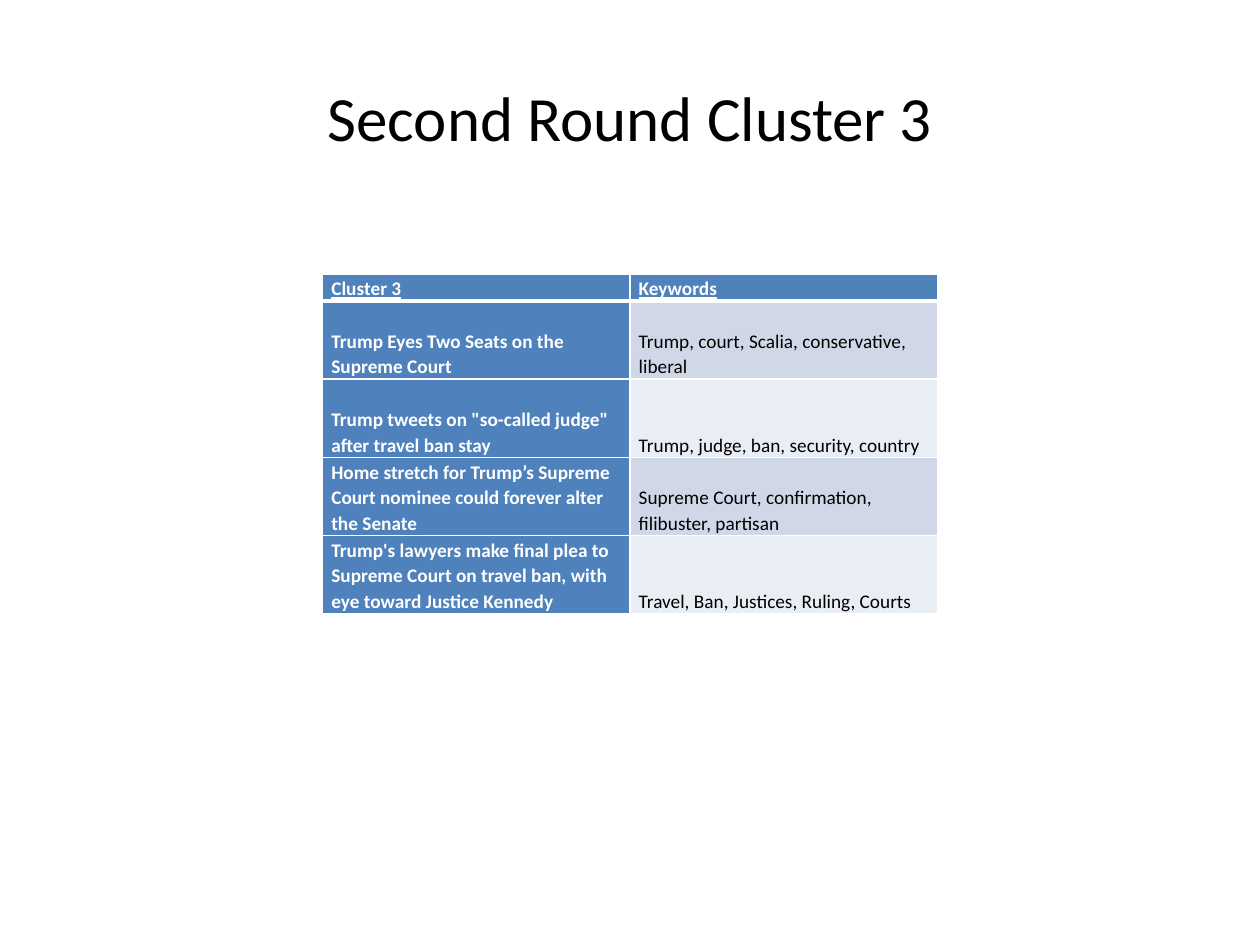
from lxml import etree
from pptx import Presentation
from pptx.dml.color import RGBColor
from pptx.enum.text import MSO_ANCHOR, PP_ALIGN
from pptx.oxml.ns import qn
from pptx.util import Inches, Pt

MIDDLE, BOTTOM = MSO_ANCHOR.MIDDLE, MSO_ANCHOR.BOTTOM
CENTER = PP_ALIGN.CENTER

BLACK = RGBColor(0x00, 0x00, 0x00)
WHITE = RGBColor(0xFF, 0xFF, 0xFF)
BLUE = RGBColor(0x4F, 0x81, 0xBD)
BAND_DARK = RGBColor(0xD0, 0xD8, 0xE8)
BAND_LIGHT = RGBColor(0xE9, 0xED, 0xF4)

FONT = "Calibri"
COLUMN_WIDTH = 2.44
HEADER_HEIGHT, ROW_HEIGHT = 0.21, 0.62

ROWS = [
    ("Cluster 3", "Keywords"),
    ("Trump Eyes Two Seats on the Supreme Court",
     "Trump, court, Scalia, conservative, liberal"),
    ('Trump tweets on "so-called judge" after travel ban stay',
     "Trump, judge, ban, security, country"),
    ("Home stretch for Trump’s Supreme Court nominee could forever alter the Senate",
     "Supreme Court, confirmation, filibuster, partisan"),
    ("Trump's lawyers make final plea to Supreme Court on travel ban, with eye toward Justice Kennedy",
     "Travel, Ban, Justices, Ruling, Courts"),
]


def add_run(p, text, size, color, bold=False, underline=False):
    r = p.add_run()
    r.text = text
    r.font.name = FONT
    r.font.size = Pt(size)
    r.font.color.rgb = color
    r.font.bold = bold
    r.font.underline = underline


def add_title(slide, text):
    box = slide.shapes.add_textbox(Inches(0.5), Inches(0.3), Inches(9), Inches(1.25))
    tf = box.text_frame
    tf.word_wrap = True
    tf.vertical_anchor = MIDDLE
    p = tf.paragraphs[0]
    p.alignment = CENTER
    add_run(p, text, 36, BLACK)


def set_borders(cell, bottom_width):
    """Draw white cell borders, 1 pt except for the bottom one."""
    tc_pr = cell._tc.get_or_add_tcPr()
    widths = {"a:lnL": 1, "a:lnR": 1, "a:lnT": 1, "a:lnB": bottom_width}
    for i, (tag, width) in enumerate(widths.items()):
        ln = etree.Element(qn(tag), w=str(Pt(width)))
        fill = etree.SubElement(ln, qn("a:solidFill"))
        etree.SubElement(fill, qn("a:srgbClr"), val=str(WHITE))
        tc_pr.insert(i, ln)


def fill_cell(cell, text, row, column):
    header = row == 0
    emphasized = header or column == 0
    cell.margin_left = cell.margin_right = Inches(0.07)
    cell.margin_top = cell.margin_bottom = 0
    cell.vertical_anchor = BOTTOM
    cell.fill.solid()
    band = BAND_DARK if row % 2 else BAND_LIGHT
    cell.fill.fore_color.rgb = BLUE if emphasized else band
    set_borders(cell, 3 if header else 1)
    p = cell.text_frame.paragraphs[0]
    p.line_spacing = 1.07
    add_run(p, text, 11, WHITE if emphasized else BLACK, emphasized, header)


def add_cluster_table(slide):
    heights = [HEADER_HEIGHT] + [ROW_HEIGHT] * (len(ROWS) - 1)
    frame = slide.shapes.add_table(
        len(ROWS), 2, Inches(2.56), Inches(2.18),
        Inches(2 * COLUMN_WIDTH), Inches(sum(heights)))
    table = frame.table
    for column in table.columns:
        column.width = Inches(COLUMN_WIDTH)
    for i, (height, texts) in enumerate(zip(heights, ROWS)):
        table.rows[i].height = Inches(height)
        for j, text in enumerate(texts):
            fill_cell(table.cell(i, j), text, i, j)


def main():
    prs = Presentation()
    prs.slide_width, prs.slide_height = Inches(10), Inches(7.5)
    slide = prs.slides.add_slide(prs.slide_layouts[6])
    add_title(slide, "Second Round Cluster 3")
    add_cluster_table(slide)
    prs.save("out.pptx")


if __name__ == "__main__":
    main()
